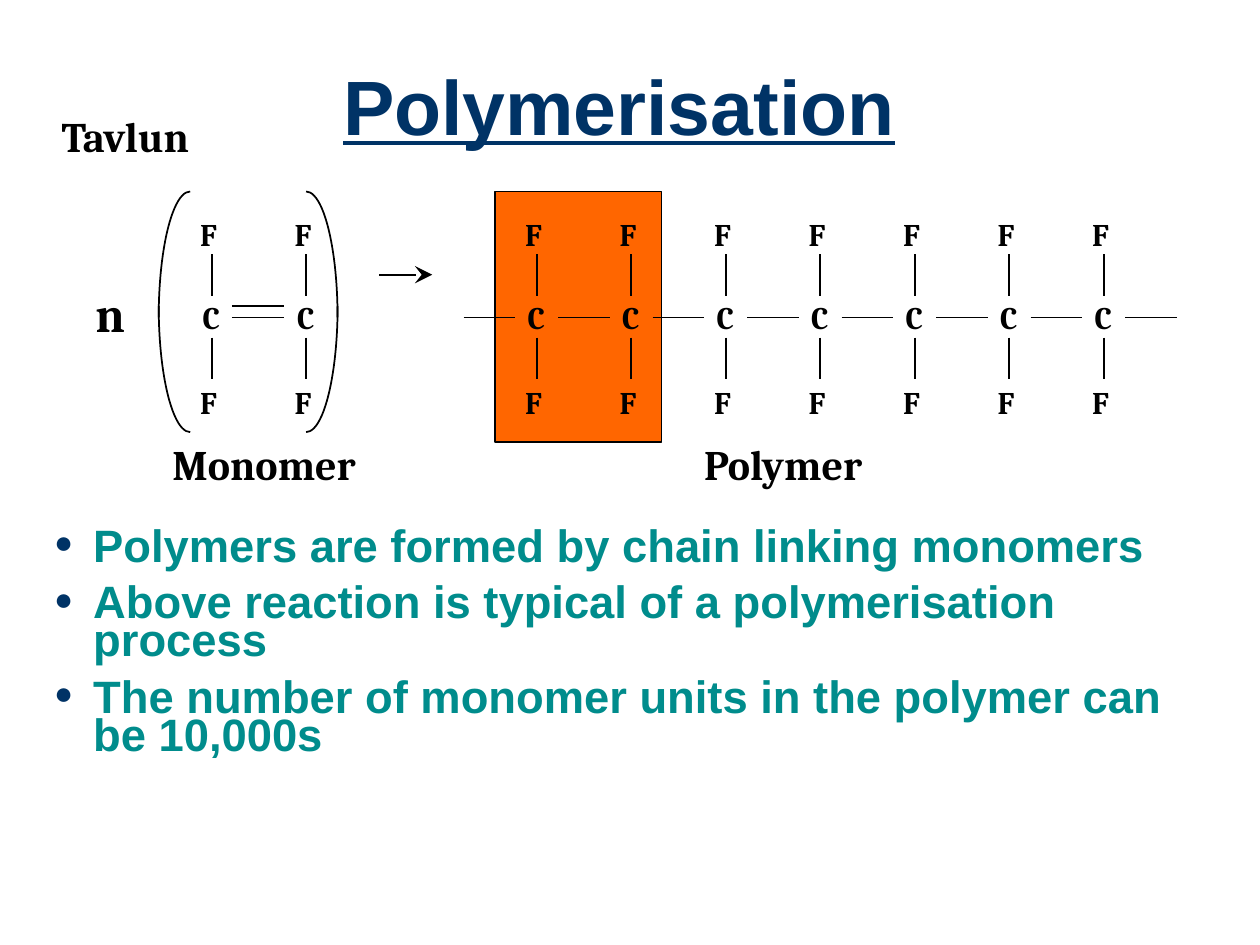
from lxml import etree
from pptx import Presentation
from pptx import util as u
from pptx.dml.color import RGBColor
from pptx.enum import shapes, text
from pptx.oxml.ns import qn

EMU_PER_PX = 9144  # 100 px to the inch


def px(length):
    return u.Emu(length * EMU_PER_PX)


def color(hex_string):
    return RGBColor.from_string(hex_string)


class SlideBuilder:
    """Holds the style and the current slide."""
    navy, teal, orange, black = "003366", "008C8C", "FF6600", "000000"
    heading_font, formula_font = "Arial", "Cambria"

    def __init__(self, slide):
        self.slide = slide

    def set_font(self, paragraph, name, size, hex_string):
        font = paragraph.font
        font.name, font.size, font.bold = name, u.Pt(size), True
        font.color.rgb = color(hex_string)

    def place(self, shape, left, top, width, height):
        shape.left, shape.top = px(left), px(top)
        shape.width, shape.height = px(width), px(height)

    def outline(self, shape):
        shape.line.color.rgb = color(self.black)
        shape.line.width = u.Pt(1)

    def title(self, words, *box):
        shape = self.slide.shapes.title
        self.place(shape, *box)
        frame = shape.text_frame
        frame.text = words
        frame.auto_size = text.MSO_AUTO_SIZE.NONE
        frame.vertical_anchor = text.MSO_ANCHOR.MIDDLE
        paragraph = frame.paragraphs[0]
        paragraph.alignment = text.PP_ALIGN.CENTER
        paragraph.line_spacing = 0.9
        self.set_font(paragraph, self.heading_font, 44, self.navy)
        paragraph.font.underline = True

    def bullets(self, items, *box):
        shape = self.slide.placeholders[1]
        self.place(shape, *box)
        frame = shape.text_frame
        frame.text = "\n".join(items)
        frame.auto_size = text.MSO_AUTO_SIZE.NONE
        for paragraph in frame.paragraphs:
            paragraph.line_spacing = 0.7
            paragraph.space_before = u.Pt(10.5)
            self.set_font(paragraph, self.heading_font, 25.9, self.teal)
            self.bullet(paragraph)

    def bullet(self, paragraph):
        properties = paragraph._p.get_or_add_pPr()
        properties.set("marL", str(px(31)))
        properties.set("indent", str(px(-31)))
        marks = [etree.Element(qn(tag)) for tag in ("a:buClr", "a:buSzPct", "a:buFont", "a:buChar")]
        etree.SubElement(marks[0], qn("a:srgbClr")).set("val", self.navy)
        marks[1].set("val", "70000")
        marks[2].set("typeface", self.heading_font)
        marks[3].set("char", "●")
        position = properties.index(properties.find(qn("a:defRPr")))
        properties[position:position] = marks

    def label(self, words, left, top, width, height, size):
        shape = self.slide.shapes.add_textbox(px(left), px(top), px(width), px(height))
        frame = shape.text_frame
        frame.word_wrap = False
        frame.text = words
        self.set_font(frame.paragraphs[0], self.formula_font, size, self.black)

    def line(self, x1, y1, x2, y2, arrow=False):
        connector = self.slide.shapes.add_connector(
            shapes.MSO_CONNECTOR.STRAIGHT, px(x1), px(y1), px(x2), px(y2))
        self.outline(connector)
        if arrow:
            head = etree.SubElement(connector.line._get_or_add_ln(), qn("a:tailEnd"))
            for name, value in (("type", "stealth"), ("w", "lg"), ("len", "lg")):
                head.set(name, value)
        etree.SubElement(connector._element.spPr, qn("a:effectLst"))

    def box(self, *box):
        shape = self.slide.shapes.add_shape(shapes.MSO_SHAPE.RECTANGLE, *map(px, box))
        shape.shadow.inherit = False
        shape.fill.solid()
        shape.fill.fore_color.rgb = color(self.orange)
        self.outline(shape)

    def quarter_arc(self, left, top, start):
        """Draw a quarter of a 50 by 200 ellipse, clockwise from start degrees."""
        shape = self.slide.shapes.add_shape(
            shapes.MSO_SHAPE.ARC, px(left), px(top), px(50), px(200))
        for index, angle in enumerate((start, (start + 90) % 360)):
            shape.adjustments[index] = angle * 0.6  # 60000 units a degree, scaled by 100000
        shape.shadow.inherit = False
        shape.fill.background()
        self.outline(shape)

    def carbon_unit(self, x):
        """Draw a carbon at x with a fluorine above and below."""
        for y in (202, 268):
            self.line(x, y, x, y + 33)
        self.label("C", x - 17, 232, 37, 40, 18)
        for y in (166, 299):
            self.label("F", x - 19, y, 36, 40, 18)


def main():
    presentation = Presentation()
    presentation.slide_width, presentation.slide_height = px(1000), px(750)
    slide = presentation.slides.add_slide(presentation.slide_layouts[1])
    builder = SlideBuilder(slide)
    pitch, bond = 75, 41

    # Title and explanation
    builder.title("Polymerisation", 25, 25, 933, 125)
    builder.bullets([
        "Polymers are formed by chain linking monomers",
        "Above reaction is typical of a polymerisation process",
        "The number of monomer units in the polymer can be 10,000s",
    ], 33, 417, 908, 217)

    # Polymer chain, with the repeating unit highlighted
    builder.box(393, 152, 132, 199)
    for i in range(7):
        builder.carbon_unit(426 + i * pitch)
    for i in range(8):
        x = 368 + i * pitch
        builder.line(x, 252, x + bond, 252)

    # Monomer with its double bond
    for i in range(2):
        builder.carbon_unit(168 + i * pitch)
    for y in (243, 252):
        builder.line(184, y, 184 + bond, y)

    # Brackets around the monomer
    for left, top, start in ((218, 152, 270), (126, 152, 180), (218, 143, 0), (126, 143, 90)):
        builder.quarter_arc(left, top, start)

    # Reaction arrow and captions
    builder.line(301, 218, 343, 218, arrow=True)
    builder.label("n", 66, 220, 46, 57, 28)
    builder.label("Tavlun", 39, 83, 128, 50, 24)
    builder.label("Monomer", 127, 343, 166, 50, 24)
    builder.label("Polymer", 549, 343, 166, 50, 24)

    presentation.save("out.pptx")


if __name__ == "__main__":
    main()
